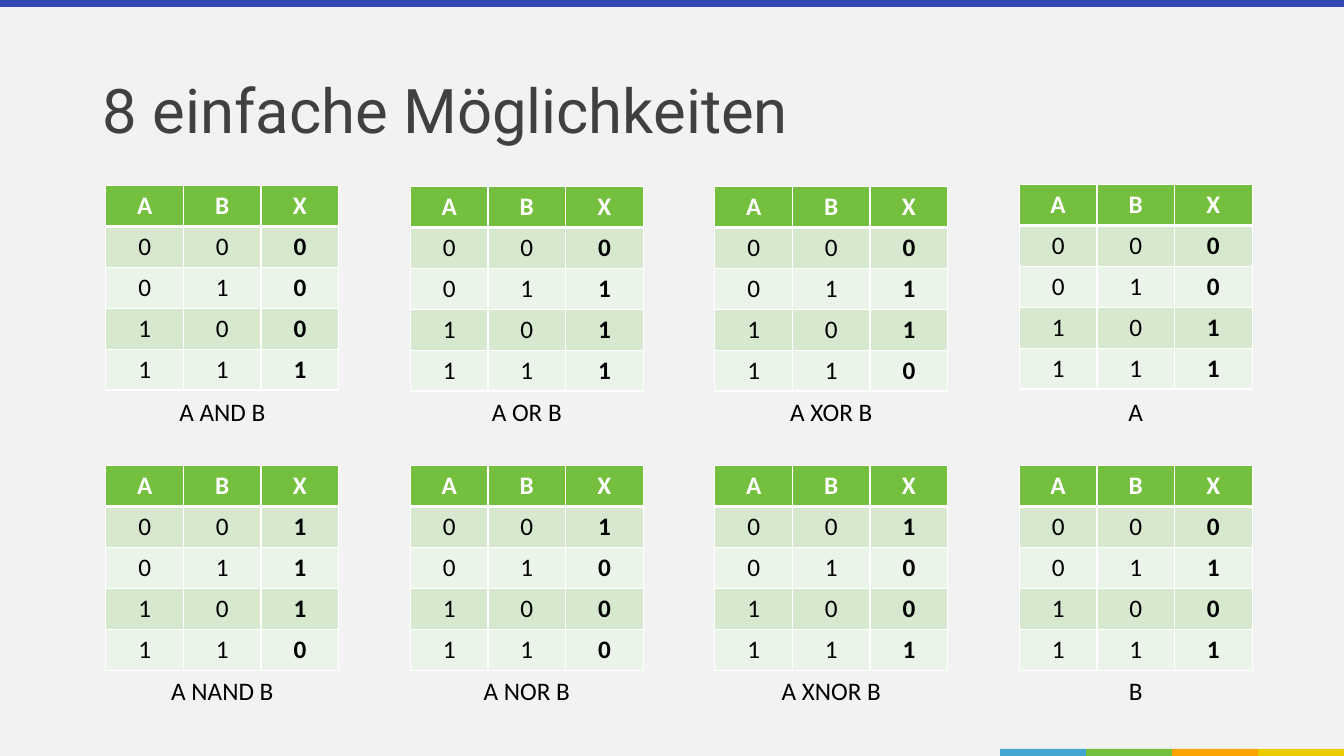
from dataclasses import dataclass
from itertools import product

from lxml import etree
from pptx import Presentation
from pptx.dml.color import RGBColor
from pptx.enum.shapes import MSO_SHAPE
from pptx.enum.text import MSO_ANCHOR, MSO_AUTO_SIZE, PP_ALIGN
from pptx.oxml.ns import qn
from pptx.util import Inches, Pt

RECT = MSO_SHAPE.RECTANGLE
MIDDLE = MSO_ANCHOR.MIDDLE
FIT_SHAPE = MSO_AUTO_SIZE.SHAPE_TO_FIT_TEXT
LEFT, CENTER = PP_ALIGN.LEFT, PP_ALIGN.CENTER


@dataclass(frozen=True)
class Theme:
    background: str = "F2F2F2"
    top_bar: str = "3248B5"
    accents: tuple = ("41A7D1", "74BF3D", "FBA300", "E8CC00")
    title: str = "404040"
    text: str = "000000"
    white: str = "FFFFFF"
    header: str = "74BF3D"
    bands: tuple = ("D6E8CE", "EBF4E8")
    title_font: str = "Roboto"
    body_font: str = "Calibri"
    title_size: int = 44
    body_size: int = 18
    thin: int = 1
    thick: int = 3


THEME = Theme()
SLIDE_W, SLIDE_H = 13.33, 7.5
BAR_H = 0.07
TABLE_W, TABLE_H = 2.31, 2.03
CAPTION_H = 0.4
GRID_LEFT, GRID_STEP = 1.05, 3.02

GATE_ROWS = [
    (3.88, [
        ("A AND B", "0001", 1.84),
        ("A OR B", "0111", 1.85),
        ("A XOR B", "0110", 1.85),
        ("A", "0011", 1.83),
    ]),
    (6.65, [
        ("A NAND B", "1110", 4.62),
        ("A NOR B", "1000", 4.62),
        ("A XNOR B", "1001", 4.62),
        ("B", "0101", 4.62),
    ]),
]


def style_text(p, font, size, color, bold=False, align=CENTER):
    p.alignment = align
    for r in p.runs:
        r.font.name = font
        r.font.size = Pt(size)
        r.font.bold = bold
        r.font.color.rgb = RGBColor.from_string(color)


def add_bar(s, left, top, width, color):
    sp = s.shapes.add_shape(RECT, Inches(left), Inches(top), Inches(width), Inches(BAR_H))
    sp.shadow.inherit = False
    sp.fill.solid()
    sp.fill.fore_color.rgb = RGBColor.from_string(color)
    sp.line.fill.background()


def add_bars(s, accent_left):
    add_bar(s, 0, 0, SLIDE_W, THEME.top_bar)
    width = (SLIDE_W - accent_left) / len(THEME.accents)
    for i, color in enumerate(THEME.accents):
        add_bar(s, accent_left + i * width, SLIDE_H - BAR_H, width, color)


def add_title(s, text, left, top, width, height):
    sp = s.shapes.title
    sp.left, sp.top = Inches(left), Inches(top)
    sp.width, sp.height = Inches(width), Inches(height)
    tf = sp.text_frame
    tf.text = text
    tf.vertical_anchor = MIDDLE
    p = tf.paragraphs[0]
    p.line_spacing = 0.9
    style_text(p, THEME.title_font, THEME.title_size, THEME.title, align=LEFT)


def set_borders(cell, top, bottom):
    tc_pr = cell._tc.get_or_add_tcPr()
    widths = {"lnL": THEME.thin, "lnR": THEME.thin, "lnT": top, "lnB": bottom}
    for i, (tag, width) in enumerate(widths.items()):
        ln = etree.Element(qn(f"a:{tag}"), w=str(Pt(width)))
        fill = etree.SubElement(ln, qn("a:solidFill"))
        etree.SubElement(fill, qn("a:srgbClr"), val=THEME.white)
        tc_pr.insert(i, ln)


def fill_cell(cell, text, row, col):
    is_header = row == 0
    cell.text = text
    style_text(
        cell.text_frame.paragraphs[0],
        THEME.body_font,
        THEME.body_size,
        THEME.white if is_header else THEME.text,
        bold=is_header or col == 2,
    )
    cell.fill.solid()
    color = THEME.header if is_header else THEME.bands[(row - 1) % 2]
    cell.fill.fore_color.rgb = RGBColor.from_string(color)
    set_borders(
        cell,
        top=THEME.thick if row == 1 else THEME.thin,
        bottom=THEME.thick if is_header else THEME.thin,
    )


def add_truth_table(s, outputs, left, top, width, height):
    inputs = product("01", repeat=2)
    rows = [("A", "B", "X")] + [(a, b, x) for (a, b), x in zip(inputs, outputs)]
    frame = s.shapes.add_table(
        len(rows), 3, Inches(left), Inches(top), Inches(width), Inches(height)
    )
    for i, values in enumerate(rows):
        for j, value in enumerate(values):
            fill_cell(frame.table.cell(i, j), value, i, j)


def add_caption(s, text, left, top, width, height):
    sp = s.shapes.add_textbox(Inches(left), Inches(top), Inches(width), Inches(height))
    tf = sp.text_frame
    tf.word_wrap = True
    tf.auto_size = FIT_SHAPE
    tf.text = text
    style_text(tf.paragraphs[0], THEME.body_font, THEME.body_size, THEME.text)


def add_gates(s, left, step):
    for caption_top, gates in GATE_ROWS:
        for i, (name, outputs, table_top) in enumerate(gates):
            x = left + i * step
            add_truth_table(s, outputs, x, table_top, TABLE_W, TABLE_H)
            add_caption(s, name, x, caption_top, TABLE_W, CAPTION_H)


def main():
    prs = Presentation()
    prs.slide_width, prs.slide_height = Inches(SLIDE_W), Inches(SLIDE_H)
    s = prs.slides.add_slide(prs.slide_layouts[5])
    s.background.fill.solid()
    s.background.fill.fore_color.rgb = RGBColor.from_string(THEME.background)
    add_bars(s, 9.92)
    add_title(s, "8 einfache Möglichkeiten", 0.92, 0.4, 11.5, 1.45)
    add_gates(s, GRID_LEFT, GRID_STEP)
    prs.save("out.pptx")


if __name__ == "__main__":
    main()
